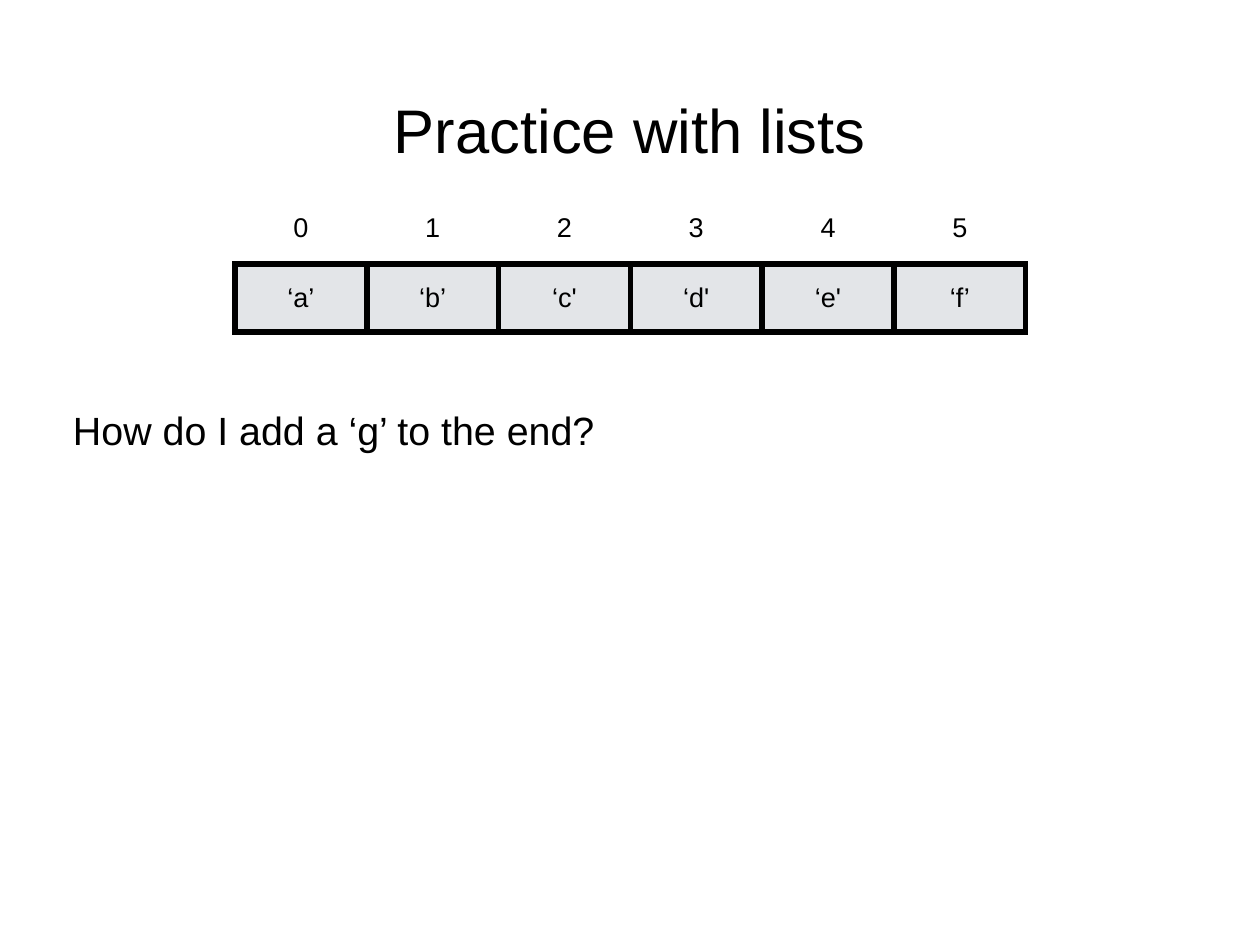
from dataclasses import dataclass

from lxml import etree
from pptx import Presentation
from pptx.dml.color import RGBColor
from pptx.enum.text import MSO_ANCHOR, PP_ALIGN
from pptx.oxml.ns import qn
from pptx.util import Pt

LEFT, CENTER = PP_ALIGN.LEFT, PP_ALIGN.CENTER
TOP, MIDDLE = MSO_ANCHOR.TOP, MSO_ANCHOR.MIDDLE

# Content
TITLE = "Practice with lists"
QUESTION = "How do I add a ‘g’ to the end?"
ITEMS = ["‘a’", "‘b’", "‘c'", "‘d'", "‘e'", "‘f’"]


@dataclass(frozen=True)
class Theme:
    font: str = "Arial"
    ink: str = "000000"
    paper: str = "FFFFFF"
    item_fill: str = "E3E5E8"
    title_size: float = 50
    question_size: float = 32
    list_size: float = 22
    border: float = 5
    inset: float = 4.3


THEME = Theme()

# Layout, in points
SLIDE_W, SLIDE_H = 1024, 768
BOX_W, BOX_H = 874, 170
TITLE_AT = (75, 20)
QUESTION_AT = (55, 325.5)
LIST_AT = (191, 157)
COLUMN_W = 107.1
ROW_HEIGHTS = (57.5, 55.5)


def write(frame, text, *, size, align=LEFT):
    paragraph = frame.paragraphs[0]
    paragraph.alignment = align
    run = paragraph.add_run()
    run.text = text
    run.font.name = THEME.font
    run.font.size = Pt(size)
    run.font.bold = False
    run.font.color.rgb = RGBColor.from_string(THEME.ink)


def set_insets(holder):
    holder.margin_left = holder.margin_right = Pt(THEME.inset)
    holder.margin_top = holder.margin_bottom = Pt(THEME.inset)


def add_text(slide, text, at, *, anchor=TOP, **text_format):
    box = slide.shapes.add_textbox(Pt(at[0]), Pt(at[1]), Pt(BOX_W), Pt(BOX_H))
    frame = box.text_frame
    frame.word_wrap = True
    frame.vertical_anchor = anchor
    set_insets(frame)
    write(frame, text, **text_format)


def set_borders(cell, drawn_sides):
    properties = cell._tc.get_or_add_tcPr()
    for position, side in enumerate("LRTB"):
        line = etree.Element(qn(f"a:ln{side}"))
        if side in drawn_sides:
            line.set("w", str(Pt(THEME.border)))
            fill = etree.SubElement(line, qn("a:solidFill"))
            etree.SubElement(fill, qn("a:srgbClr"), val=THEME.ink)
        else:
            etree.SubElement(line, qn("a:noFill"))
        properties.insert(position, line)


def add_list(slide):
    # Each row: texts, fill, drawn border sides
    rows = [
        ([str(index) for index in range(len(ITEMS))], THEME.paper, "B"),
        (ITEMS, THEME.item_fill, "LRTB"),
    ]
    table = slide.shapes.add_table(
        len(rows), len(ITEMS), Pt(LIST_AT[0]), Pt(LIST_AT[1]),
        Pt(COLUMN_W * len(ITEMS)), Pt(sum(ROW_HEIGHTS))).table
    table.first_row = table.horz_banding = False
    for column in table.columns:
        column.width = Pt(COLUMN_W)
    for r, (texts, fill, sides) in enumerate(rows):
        table.rows[r].height = Pt(ROW_HEIGHTS[r])
        for c, text in enumerate(texts):
            cell = table.cell(r, c)
            cell.vertical_anchor = MIDDLE
            set_insets(cell)
            cell.fill.solid()
            cell.fill.fore_color.rgb = RGBColor.from_string(fill)
            set_borders(cell, sides)
            write(cell.text_frame, text, size=THEME.list_size, align=CENTER)


def main():
    deck = Presentation()
    deck.slide_width, deck.slide_height = Pt(SLIDE_W), Pt(SLIDE_H)
    slide = deck.slides.add_slide(deck.slide_layouts[6])

    # Title and question
    add_text(slide, TITLE, TITLE_AT, anchor=MIDDLE,
             size=THEME.title_size, align=CENTER)
    add_text(slide, QUESTION, QUESTION_AT, size=THEME.question_size)

    # List with its indexes
    add_list(slide)
    deck.save("out.pptx")


if __name__ == "__main__":
    main()
